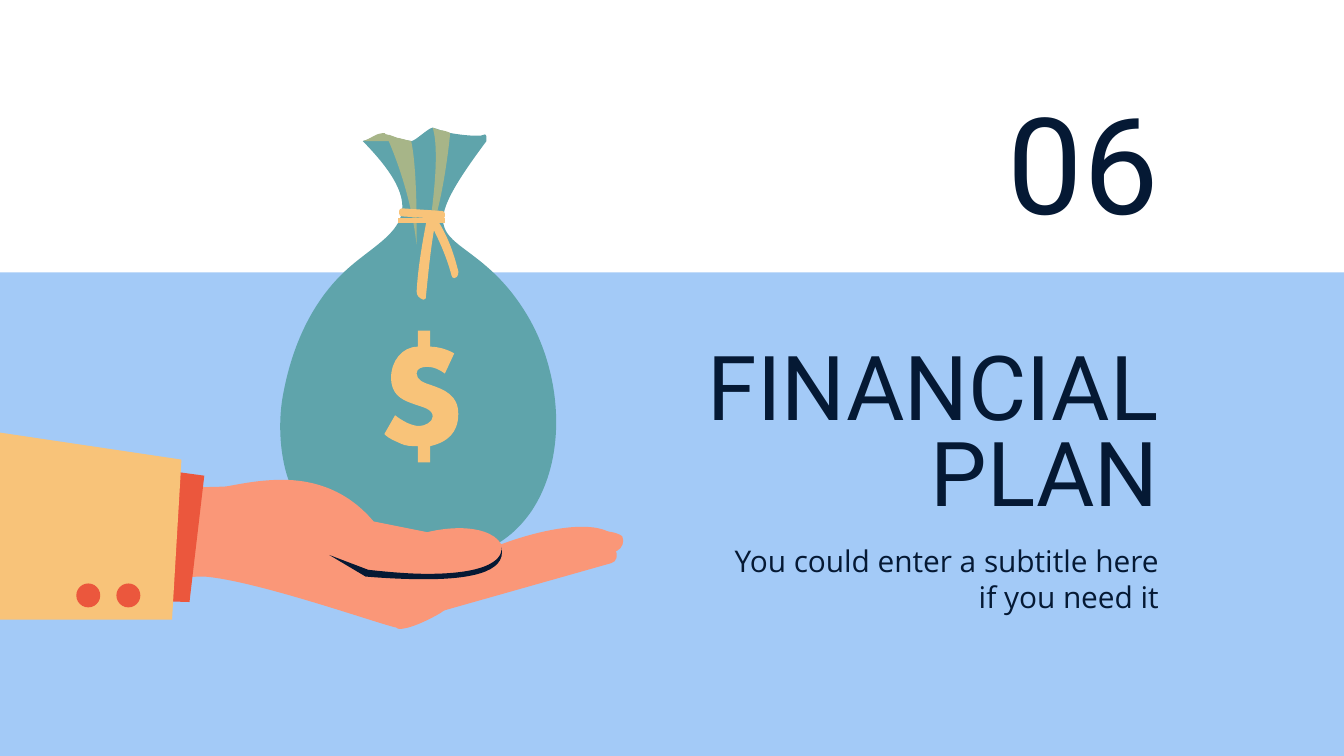
from lxml.etree import SubElement as Sub
from pptx import Presentation
from pptx.dml.color import RGBColor
from pptx.enum.shapes import MSO_SHAPE as Kind
from pptx.enum.text import MSO_ANCHOR as Anchor, PP_ALIGN as Align
from pptx.oxml.ns import qn
from pptx.util import Pt

NAVY, SKY, TEAL, OLIVE = "051934", "A3CAF7", "5FA4AB", "A7B588"
GOLD, SKIN, RED = "F8C379", "FA9778", "EB573D"
UNIT = 0.72


def paint(shape, color):
    shape.shadow.inherit = False
    shape.fill.solid()
    shape.fill.fore_color.rgb = RGBColor.from_string(color)
    shape.line.fill.background()


def trace(shapes, path):
    parts = []
    for part in path.split():
        nums = [Pt(float(n) * UNIT) for n in part.split(",")]
        parts.append(list(zip(nums[::2], nums[1::2])))
    ends = [part[-1] for part in parts]
    left, top = (min(axis) for axis in zip(*ends))
    pen = shapes.build_freeform(*ends[0], scale=1.0)
    pen.add_line_segments(ends[1:], close=True)
    shape = pen.convert_to_shape()
    nodes = list(shape.element.iter(qn("a:lnTo")))
    for node, part in zip(nodes, parts[1:]):
        if len(part) == 3:
            node.clear()
            node.tag = qn("a:cubicBezTo")
            for x, y in part:
                Sub(node, qn("a:pt"), x=str(x - left), y=str(y - top))
    return shape


deck = Presentation()
deck.slide_width, deck.slide_height = Pt(720), Pt(405)
slide = deck.slides.add_slide(deck.slide_layouts[6])

band = slide.shapes.add_shape(Kind.RECTANGLE, Pt(-0.7), Pt(146), Pt(722), Pt(263.5))
paint(band, SKY)

texts = [
    ("FINANCIAL PLAN", 294.5, 201.6, 333.4, 66.2, Anchor.MIDDLE, 0.8, 48, "Roboto"),
    ("06", 429.7, 74.6, 198, 61.9, Anchor.BOTTOM, 1, 72, "Roboto"),
    ("You could enter a subtitle here if you need it",
     377.3, 283.7, 250.6, 42.5, Anchor.TOP, 1, 16, "Open Sans"),
]
for words, x, y, w, h, anchor, space, size, face in texts:
    frame = slide.shapes.add_textbox(Pt(x), Pt(y), Pt(w), Pt(h)).text_frame
    frame.word_wrap = True
    frame.vertical_anchor = anchor
    frame.margin_left = frame.margin_right = Pt(7.2)
    frame.margin_top = frame.margin_bottom = Pt(7.2)
    frame.text = words
    para = frame.paragraphs[0]
    para.alignment = Align.RIGHT
    para.line_spacing = space
    font = para.runs[0].font
    font.size, font.name = Pt(size), face
    font.color.rgb = RGBColor.from_string(NAVY)

bag = ("322,95 326,96,330,98,335,99 341,100,348,101,355,101 357,101,359,101,361,100 "
       "362,100,362,102,362,103 362,105 294,196,348,161,392,234 418,277,423,340,395,381 "
       "374,411,345,417,315,417 304,417,292,416,281,415 256,414,239,398,223,374 "
       "208,352,206,316,211,292 218,255,234,221,261,198 290,173,326,162,270,105 "
       "275,104,280,100,286,100 295,103,300,104,306,105 309,105,319,95,322,95")
flap = "285,99 286,99,287,99,287,100 295,103,300,104,306,105 270,105 275,104,280,99,285,99"
fold = ("287,100 291,100,295,103,298,103 302,104,305,105,306,105 "
        "311,128,310,182,310,182 305,137,287,100,287,100")
crease = ("322,95 322,95,324,96,328,97 330,97,333,98,335,99 "
          "335,99,330,154,318,179 318,179,329,117,322,95")
dollar = ("311,246 311,258 299,258,291,269,291,281 291,293,298,297,306,300 "
          "314,303,322,304,322,310 322,314,316,317,312,317 306,317,299,313,294,309 "
          "286,323 290,327,294,328,298,330 302,332,306,332,311,332 311,344 320,344 320,332 "
          "333,329,341,322,341,308 341,294,331,290,319,286 316,285,310,283,310,278 "
          "310,274,314,273,318,273 323,273,327,275,331,278 338,263 "
          "333,260,326,258,320,258 320,246")
knot = ("299,155 329,157 330,157,331,158,331,159 331,161 331,162,330,163,329,163 "
        "299,161 298,161,297,160,297,159 297,157 297,156,298,155,299,155")
strap = "296,162 331,162 331,166 296,166"
short = ("323,162 324,162,325,162,325,163 334,177,338,190,341,202 341,203,341,205,340,206 "
         "338,207 337,207,336,206,336,205 332,190,326,177,319,164 319,163,320,163,321,162")
long = ("321,158 322,158 324,158,325,158,325,160 321,179,319,200,317,220 "
        "317,222,317,223,315,223 312,222,310,220,310,217 311,199,314,182,318,161 "
        "318,159,319,158,321,158")
under = ("432,402 443,402,451,404,456,407 458,409 460,413,459,418,455,419 "
         "310,460 292,437 292,437,384,402,432,402")
finger = ("444,395 452,395,459,396,463,399 465,403,463,408,459,410 "
          "318,456 300,433 299,432,398,395,444,395")
hand = ("210,357 231,357,257,363,278,388 318,396 318,396,329,393,342,393 "
        "354,393,368,396,373,405 373,405,406,392,433,392 441,392,449,393,455,397 "
        "458,398,457,402,455,402 432,411,340,446,328,456 328,456,308,468,297,468 "
        "296,468,295,467,295,467 284,465,191,432,152,429 35,432 50,363 "
        "50,363,153,363,168,362 175,361,191,357,210,357")
shade = ("373,407 378,427,346,431,316,431 293,431,272,429,272,429 245,413 274,424 "
         "292,426,306,427,318,427 373,427,374,411,373,407")
cuff = "-16,331 152,354 141,448 -26,443"
sleeve = "-33,317 135,342 128,461 -44,461"

art = slide.shapes.add_group_shape().shapes
for color, path in [
    (TEAL, bag), (OLIVE, flap), (OLIVE, fold), (OLIVE, crease), (GOLD, dollar),
    (GOLD, knot), (GOLD, strap), (GOLD, short), (GOLD, long), (SKIN, under),
    (SKIN, finger), (SKIN, hand), (NAVY, shade), (RED, cuff), (GOLD, sleeve),
]:
    paint(trace(art, path), color)

for x in (62.4, 40.9):
    paint(art.add_shape(Kind.OVAL, Pt(x), Pt(312.6), Pt(12.8), Pt(12.8)), RED)

deck.save("out.pptx")
